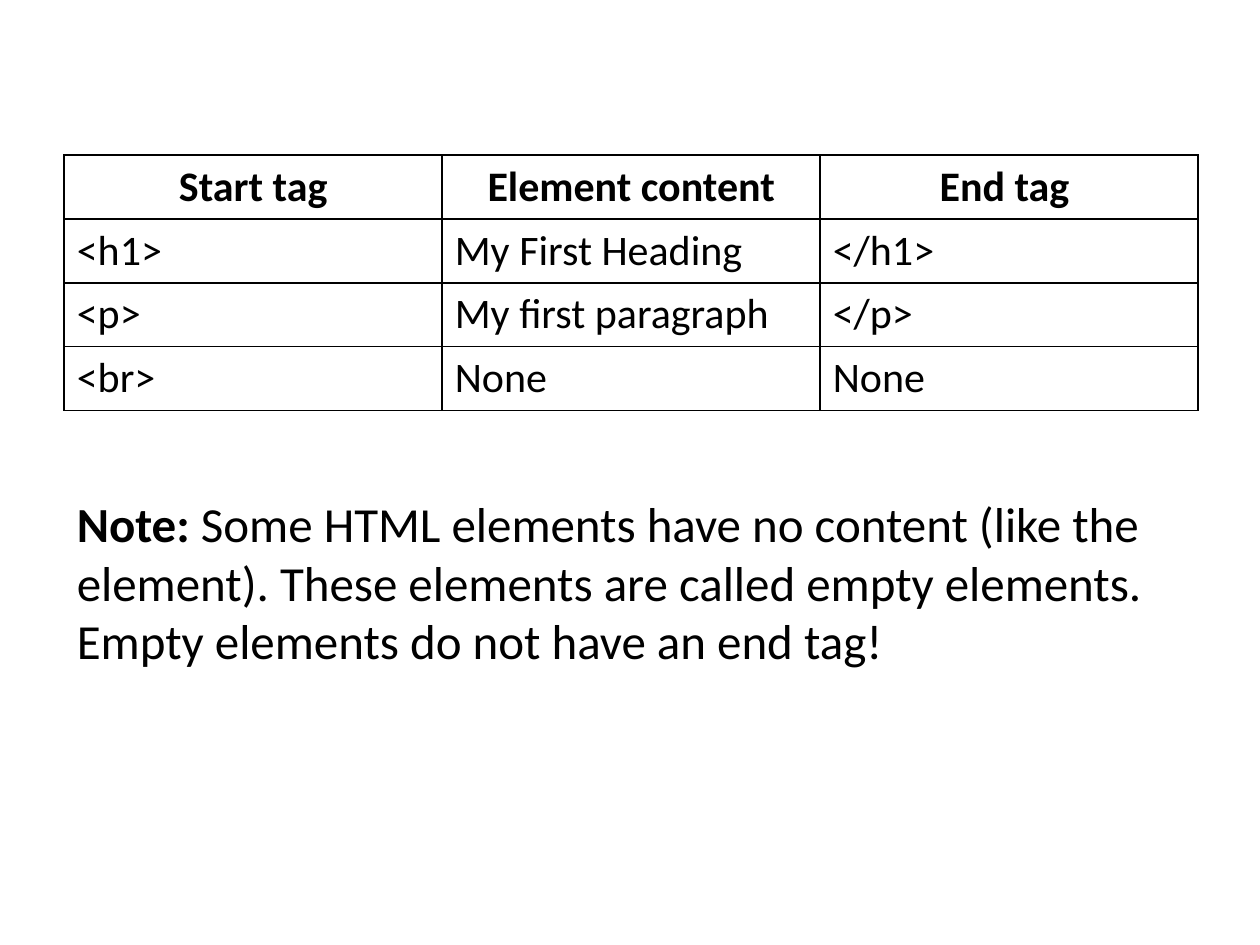
from lxml.etree import SubElement
from pptx import Presentation
from pptx.dml.color import RGBColor
from pptx.enum.text import MSO_ANCHOR, MSO_AUTO_SIZE, PP_ALIGN
from pptx.oxml.ns import qn
from pptx.util import Pt


def color(hex_value):
    return RGBColor.from_string(hex_value)


class TagSlide:
    """Holds the text style and the slide being filled."""

    font_name = "Calibri"
    ink = "000000"
    border_width = 1

    def __init__(self, slide):
        self.slide = slide

    def style(self, font, size, bold=None):
        font.name = self.font_name
        font.size = Pt(size)
        font.bold = bold
        font.color.rgb = color(self.ink)

    def note(self, label, message, left, top, width, height):
        title = self.slide.shapes.title
        title.left, title.top, title.width, title.height = map(Pt, (left, top, width, height))
        frame = title.text_frame
        frame.word_wrap = True
        frame.auto_size = MSO_AUTO_SIZE.NONE
        frame.vertical_anchor = MSO_ANCHOR.MIDDLE
        paragraph = frame.paragraphs[0]
        paragraph.alignment = PP_ALIGN.LEFT
        self.style(paragraph.font, 28)
        for words, bold in ((label, True), (message, False)):
            run = paragraph.add_run()
            run.text = words
            run.font.bold = bold

    def border(self, cell):
        properties = cell._tc.get_or_add_tcPr()
        for side in ("a:lnL", "a:lnR", "a:lnT", "a:lnB"):
            line = SubElement(properties, qn(side), w=str(Pt(self.border_width)))
            fill = SubElement(line, qn("a:solidFill"))
            SubElement(fill, qn("a:srgbClr"), val=self.ink)

    def table(self, rows, left, top, width, row_height):
        frame = self.slide.shapes.add_table(
            len(rows), len(rows[0]), Pt(left), Pt(top), Pt(width), Pt(row_height * len(rows))
        )
        for row_index, row in enumerate(rows):
            is_header = row_index == 0
            for column_index, words in enumerate(row):
                cell = frame.table.cell(row_index, column_index)
                cell.text = words
                paragraph = cell.text_frame.paragraphs[0]
                paragraph.alignment = PP_ALIGN.CENTER if is_header else PP_ALIGN.LEFT
                self.style(paragraph.font, 24, is_header)
                self.border(cell)
                cell.fill.background()


def main():
    deck = Presentation()
    deck.slide_width, deck.slide_height = Pt(720), Pt(540)
    tags = TagSlide(deck.slides.add_slide(deck.slide_layouts[5]))
    left, width = 36.72, 648
    tags.note(
        "Note: ",
        "Some HTML elements have no content (like the element). "
        "These elements are called empty elements. "
        "Empty elements do not have an end tag!",
        left, 287.28, width, 90,
    )
    tags.table(
        [
            ("Start tag", "Element content", "End tag "),
            ("<h1>", "My First Heading", "</h1>"),
            ("<p>", "My first paragraph", "</p>"),
            ("<br>", "None", "None"),
        ],
        left, 88.56, width, 36.5,
    )
    deck.save("out.pptx")


if __name__ == "__main__":
    main()
